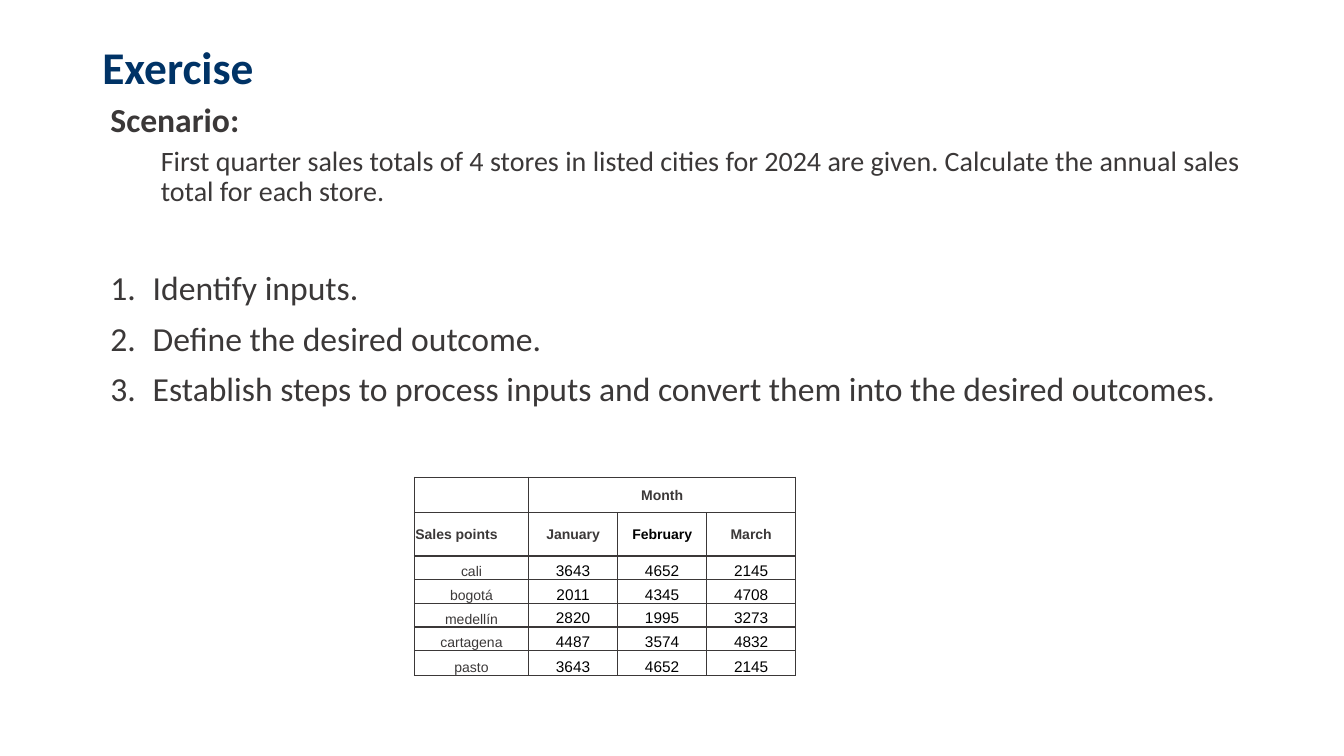
from lxml import etree
from pptx import Presentation
from pptx import util as u
from pptx.dml.color import RGBColor
from pptx.enum import text
from pptx.oxml import ns

COLORS = {"title": "003366", "body": "3B3838", "figure": "000000"}
HEADING, DATA = "Calibri", "Arial"
COLUMNS, ROWS = 160, 90


class ExerciseSlide:
    def __init__(self, deck):
        self.page = deck.slides.add_slide(deck.slide_layouts[6])
        self.column = deck.slide_width / COLUMNS
        self.row = deck.slide_height / ROWS

    def across(self, count):
        return u.Emu(round(count * self.column))

    def down(self, count):
        return u.Emu(round(count * self.row))

    def style(self, para, font, size, color, bold=False):
        for span in para.runs:
            span.font.name = font
            span.font.size = u.Pt(size)
            span.font.bold = bold
            span.font.color.rgb = RGBColor.from_string(COLORS[color])

    def text_box(self, left, top, width, height):
        box = self.page.shapes.add_textbox(
            self.across(left), self.down(top), self.across(width), self.down(height))
        box.text_frame.word_wrap = True
        return box.text_frame

    def paragraph(self, frame, words, size, color="body", bold=False,
                  before=0, margin=0, numbered=False):
        para = frame.add_paragraph() if frame.text else frame.paragraphs[0]
        para.text = words
        para.line_spacing = 0.9
        para.space_before = u.Pt(before)
        props = para._p.get_or_add_pPr()
        props.set("marL", str(u.Inches(margin)))
        props.set("indent", str(u.Inches(-0.42 if numbered else 0)))
        if numbered:
            tint = etree.SubElement(props, ns.qn("a:buClr"))
            etree.SubElement(tint, ns.qn("a:srgbClr"), val=COLORS[color])
            etree.SubElement(props, ns.qn("a:buFont"), typeface=HEADING)
            etree.SubElement(props, ns.qn("a:buAutoNum"), type="arabicPeriod")
        self.style(para, HEADING, size, color, bold)

    def border(self, cell):
        props = cell._tc.get_or_add_tcPr()
        for side in ("lnL", "lnR", "lnT", "lnB"):
            line = etree.SubElement(props, ns.qn(f"a:{side}"), w=str(u.Pt(1)))
            fill = etree.SubElement(line, ns.qn("a:solidFill"))
            etree.SubElement(fill, ns.qn("a:srgbClr"), val=COLORS["body"])

    def cell(self, cell, words, header, figure, centered, color):
        inset = u.Inches(0 if figure else 0.01)
        cell.margin_left = cell.margin_right = cell.margin_top = inset
        cell.margin_bottom = 0
        self.border(cell)
        cell.fill.background()
        anchors = text.MSO_ANCHOR
        cell.vertical_anchor = anchors.MIDDLE if header else anchors.BOTTOM
        para = cell.text_frame.paragraphs[0]
        para.text = words
        para.alignment = text.PP_ALIGN.CENTER if centered else text.PP_ALIGN.LEFT
        self.style(para, DATA, 11 if figure else 10, color, header)

    def table(self, left, top, widths, heights, values):
        frame = self.page.shapes.add_table(
            len(heights), len(widths), self.across(left), self.down(top),
            self.across(sum(widths)), self.down(sum(heights)))
        grid = frame.table
        grid.first_row = grid.horz_banding = False
        for column, width in zip(grid.columns, widths):
            column.width = self.across(width)
        for row, height in zip(grid.rows, heights):
            row.height = self.down(height)
        for r, record in enumerate(values):
            for c, words in enumerate(record):
                header = r < 2
                figure = not header and c > 0
                dark = figure or words == "February"
                self.cell(grid.cell(r, c), words, header, figure,
                          words != "Sales points", "figure" if dark else "body")
        grid.cell(0, 1).merge(grid.cell(0, 3))


def main():
    deck = Presentation()
    deck.slide_width, deck.slide_height = u.Inches(13.33), u.Inches(7.5)
    slide = ExerciseSlide(deck)

    title = slide.text_box(11, 4.8, 138, 7)
    slide.paragraph(title, "Exercise", 32.4, "title", bold=True)

    body = slide.text_box(11, 11.76, 138, 41)
    slide.paragraph(body, "Scenario:", 24, bold=True, margin=0.08)
    slide.paragraph(
        body,
        "First quarter sales totals of 4 stores in listed cities for 2024 are given. "
        "Calculate the annual sales total for each store.",
        20, before=5, margin=0.58)
    steps = [
        "Identify inputs.",
        "Define the desired outcome.",
        "Establish steps to process inputs and convert them into the desired outcomes.",
    ]
    for number, step in enumerate(steps):
        slide.paragraph(body, step, 24, before=10 if number else 46,
                        margin=0.5, numbered=True)

    sales = [
        ["", "Month", "", ""],
        ["Sales points", "January", "February", "March"],
        ["cali", "3643", "4652", "2145"],
        ["bogotá", "2011", "4345", "4708"],
        ["medellín", "2820", "1995", "3273"],
        ["cartagena", "4487", "3574", "4832"],
        ["pasto", "3643", "4652", "2145"],
    ]
    slide.table(49.33, 56.8, [13.6] + [10.6] * 3,
                [4.25, 5.15] + [2.82] * 4 + [2.95], sales)
    deck.save("out.pptx")


if __name__ == "__main__":
    main()
